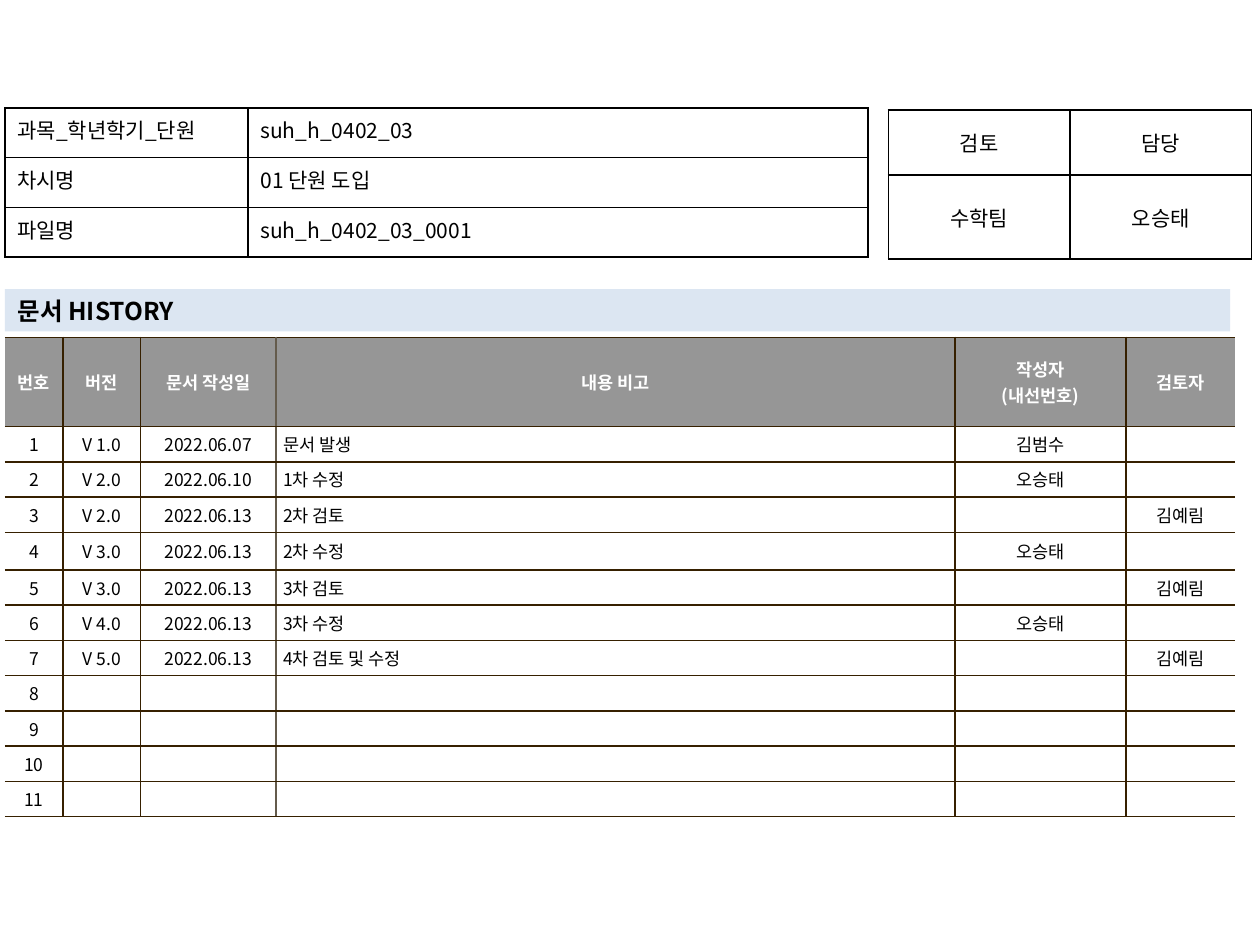
import pptx
import pptx.dml.color
import pptx.enum.text
import pptx.oxml.ns
import pptx.util
import lxml.etree

Cm = pptx.util.Cm
qn = pptx.oxml.ns.qn
ALIGN = pptx.enum.text.PP_ALIGN
MIDDLE = pptx.enum.text.MSO_ANCHOR.MIDDLE
TOP = pptx.enum.text.MSO_ANCHOR.TOP
FONT = "Noto Sans CJK KR"
COLORS = {
    "text": "000000",
    "white": "FFFFFF",
    "header": "969696",
    "band": "DCE6F2",
    "brown": "362000",
    "taupe": "645B4C",
}


def write_text(text, frame, size=10, color="text", bold=False, align=ALIGN.LEFT):
    frame.text = text
    for para in frame.paragraphs:
        para.alignment = align
        for span in para.runs:
            span.font.size = pptx.util.Pt(size)
            span.font.bold = bold
            span.font.color.rgb = pptx.dml.color.RGBColor.from_string(COLORS[color])
            span.font.name = FONT
            lxml.etree.SubElement(span._r.get_or_add_rPr(), qn("a:ea"), typeface=FONT)
        if not para.runs:
            lxml.etree.SubElement(para._p, qn("a:endParaRPr"), sz=str(size * 100))


def add_grid(left, top, widths, heights):
    frame = page.shapes.add_table(
        len(heights), len(widths), Cm(left), Cm(top), Cm(sum(widths)), Cm(sum(heights))
    )
    grid = frame.table
    grid.first_row = grid.horz_banding = False
    for column, width in zip(grid.columns, widths):
        column.width = Cm(width)
    for row, height in zip(grid.rows, heights):
        row.height = Cm(height)
    return grid


deck = pptx.Presentation()
deck.slide_width, deck.slide_height = Cm(25.4), Cm(19.05)
page = deck.slides.add_slide(deck.slide_layouts[5])

title = page.shapes.title
title.left, title.top, title.width, title.height = Cm(0.1), Cm(5.83), Cm(24.7), Cm(0.85)
title.fill.solid()
title.fill.fore_color.rgb = pptx.dml.color.RGBColor.from_string(COLORS["band"])
title.text_frame.word_wrap = True
title.text_frame.auto_size = pptx.enum.text.MSO_AUTO_SIZE.NONE
title.text_frame.vertical_anchor = MIDDLE
write_text("문서 HISTORY", title.text_frame, size=14, bold=True)

info_rows = [
    ["과목_학년학기_단원", "suh_h_0402_03"],
    ["차시명", "01 단원 도입"],
    ["파일명", "suh_h_0402_03_0001"],
]
review_rows = [["검토", "담당"], ["수학팀", "오승태"]]
history_rows = [
    ["번호", "버전", "문서 작성일", "내용 비고", "작성자\n(내선번호)", "검토자"],
    ["1", "V 1.0", "2022.06.07", "문서 발생", "김범수", ""],
    ["2", "V 2.0", "2022.06.10", "1차 수정", "오승태", ""],
    ["3", "V 2.0", "2022.06.13", "2차 검토", "", "김예림"],
    ["4", "V 3.0", "2022.06.13", "2차 수정", "오승태", ""],
    ["5", "V 3.0", "2022.06.13", "3차 검토", "", "김예림"],
    ["6", "V 4.0", "2022.06.13", "3차 수정", "오승태", ""],
    ["7", "V 5.0", "2022.06.13", "4차 검토 및 수정", "", "김예림"],
]
history_rows += [[str(number), "", "", "", "", ""] for number in range(8, 12)]

info = add_grid(0.1, 2.18, [4.9, 12.5], [1] * 3)
review = add_grid(17.91, 2.22, [3.66] * 2, [1.31, 1.69])
history = add_grid(
    0.1, 6.8, [1.17, 1.56, 2.73, 13.69, 3.45, 2.2], [1.8] + [0.71] * 3 + [0.76] + [0.71] * 7
)

for grid, rows in [(info, info_rows), (review, review_rows), (history, history_rows)]:
    is_history = grid is history
    for r, values in enumerate(rows):
        for c, value in enumerate(values):
            cell = grid.cell(r, c)
            is_header = is_history and r == 0
            left_aligned = grid is info or (is_history and c == 3 and r > 0)
            write_text(
                value,
                cell.text_frame,
                size=10 if is_history else 12,
                color="white" if is_header else "text",
                bold=is_header,
                align=ALIGN.LEFT if left_aligned else ALIGN.CENTER,
            )
            cell.vertical_anchor = TOP if grid is info else MIDDLE
            cell.margin_left = cell.margin_right = Cm(0.15 if is_history else 0.25)
            cell.margin_top = cell.margin_bottom = Cm(0.1 if is_history else 0.13)

            borders = dict.fromkeys(["lnL", "lnR", "lnT", "lnB"], "brown" if is_history else "text")
            if is_history:
                if c in (2, 3):
                    borders["lnR" if c == 2 else "lnL"] = "taupe"
                if c in (0, 5):
                    borders["lnL" if c == 0 else "lnR"] = None
            for side, color in borders.items():
                line = lxml.etree.SubElement(cell._tc.get_or_add_tcPr(), qn("a:" + side), w="12700")
                if color:
                    solid = lxml.etree.SubElement(line, qn("a:solidFill"))
                    lxml.etree.SubElement(solid, qn("a:srgbClr"), val=COLORS[color])
                else:
                    lxml.etree.SubElement(line, qn("a:noFill"))

            if is_history:
                cell.fill.solid()
                shade = COLORS["header" if is_header else "white"]
                cell.fill.fore_color.rgb = pptx.dml.color.RGBColor.from_string(shade)
            else:
                cell.fill.background()

deck.save("out.pptx")
